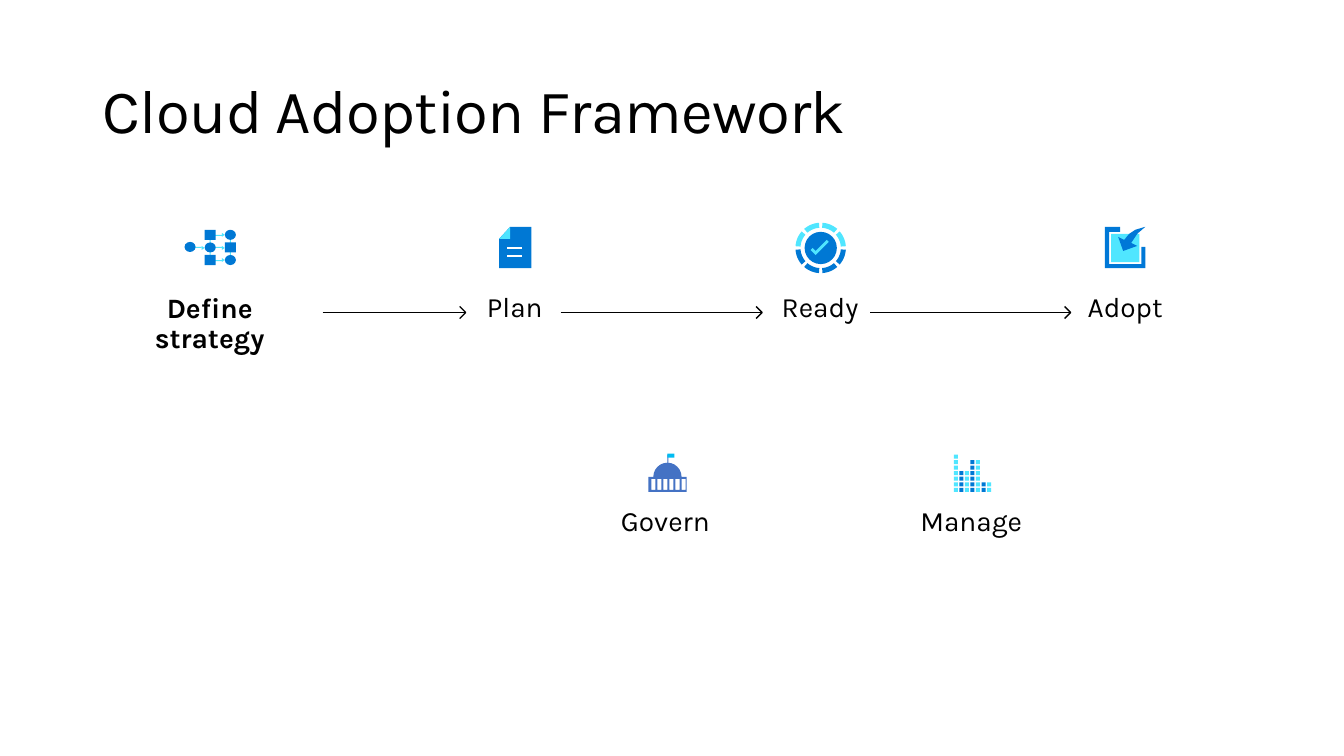
"""Build the Cloud Adoption Framework slide."""
import math

from lxml import etree
from pptx import Presentation
from pptx import util as u
from pptx.dml import color
from pptx.enum import shapes, text
from pptx.oxml import ns

BLUE, CYAN, BLACK, WHITE = "0078D4", "50E6FF", "000000", "FFFFFF"
RECT, OVAL = shapes.MSO_SHAPE.RECTANGLE, shapes.MSO_SHAPE.OVAL


def rgb(value):
    return color.RGBColor.from_string(value)


def arc(cx, cy, radius, start, end, steps=12):
    angles = [math.radians(start + (end - start) * i / steps) for i in range(steps + 1)]
    return [(cx + radius * math.cos(a), cy + radius * math.sin(a)) for a in angles]


def box(left, top, right, bottom):
    return [(left, top), (right, top), (right, bottom), (left, bottom)]


class Deck:
    font = "Karla"

    def __init__(self, prs):
        self.slide = prs.slides.add_slide(prs.slide_layouts[5])
        self.shapes = self.slide.shapes

    def group(self):
        self.shapes = self.slide.shapes.add_group_shape().shapes

    def add_run(self, p, words, size, bold=False):
        p.line_spacing = 0.9
        r = p.add_run()
        r.text = words
        r.font.name, r.font.size, r.font.bold = self.font, u.Pt(size), bold
        r.font.color.rgb = rgb(BLACK)
        return r

    def title(self, words):
        sp = self.slide.shapes.title
        sp.left, sp.top, sp.width, sp.height = map(u.Inches, (0.92, 0.4, 11.5, 1.45))
        tf = sp.text_frame
        tf.vertical_anchor = text.MSO_ANCHOR.MIDDLE
        tf.paragraphs[0].alignment = text.PP_ALIGN.LEFT
        r = self.add_run(tf.paragraphs[0], words, 44)
        r._r.get_or_add_rPr().set("spc", "-50")

    def label(self, words, x, y, w, h, align=text.PP_ALIGN.CENTER, wrap=True, bold=False):
        tf = self.shapes.add_textbox(*map(u.Inches, (x, y, w, h))).text_frame
        tf.word_wrap = wrap
        tf.margin_top = tf.margin_bottom = u.Inches(0.16)
        p = tf.paragraphs[0]
        p.alignment, p.space_after = align, u.Pt(6)
        self.add_run(p, words, 20, bold)

    def shape(self, kind, x, y, w, h, fill):
        sp = self.shapes.add_shape(kind, *map(u.Inches, (x, y, w, h)))
        self.paint(sp, fill)

    def paint(self, sp, fill):
        sp.shadow.inherit = False
        sp.fill.solid()
        sp.fill.fore_color.rgb = rgb(fill)
        sp.line.fill.background()

    def outline(self, contours, close=True):
        rings = [[(u.Inches(x), u.Inches(y)) for x, y in c] for c in contours]
        builder = self.shapes.build_freeform(*rings[0][0])
        builder.add_line_segments(rings[0][1:], close=close)
        for points in rings[1:]:
            builder.move_to(*points[0])
            builder.add_line_segments(points[1:], close=close)
        return builder.convert_to_shape()

    def polygon(self, fill, *contours):
        self.paint(self.outline(contours), fill)

    def line(self, x1, x2, y, stroke, width):
        c = self.shapes.add_connector(
            shapes.MSO_CONNECTOR.STRAIGHT, *map(u.Inches, (x1, y, x2, y)))
        c.line.color.rgb, c.line.width = rgb(stroke), u.Pt(width)
        etree.SubElement(c._element.spPr, ns.qn("a:effectLst"))

    def arrow(self, x1, x2, y):
        self.group()
        self.line(x1, x2, y, BLACK, 1)
        head = self.outline([[(x2 - 0.06, y - 0.06), (x2, y), (x2 - 0.06, y + 0.06)]], False)
        head.shadow.inherit = False
        head.fill.background()
        head.line.color.rgb, head.line.width = rgb(BLACK), u.Pt(1)


def draw_plan(s):
    s.polygon(BLUE, [(5.06, 2.25), (4.95, 2.37), (4.95, 2.66), (5.27, 2.66), (5.27, 2.25)])
    s.polygon("4FE4FF", [(5.06, 2.37), (4.95, 2.37), (5.06, 2.25)])
    for y in (2.46, 2.54):
        s.line(5.03, 5.18, y, WHITE, 1.38)


def draw_ready(s):
    cx, cy = 8.14, 2.46
    s.shape(OVAL, cx - 0.16, cy - 0.16, 0.32, 0.32, BLUE)
    s.polygon(CYAN, [(8.22, 2.4), (8.2, 2.38), (8.09, 2.49), (8.06, 2.46),
                     (8.04, 2.48), (8.09, 2.53)])
    for i in range(8):
        start, end = 45 * i + 4, 45 * i + 41
        s.polygon(BLUE if i < 4 else CYAN,
                  arc(cx, cy, 0.25, start, end) + arc(cx, cy, 0.2, end, start))


def draw_adopt(s):
    s.shape(RECT, 11.02, 2.32, 0.28, 0.28, CYAN)
    s.polygon("0078D7", [(11.32, 2.45), (11.32, 2.62), (11, 2.62), (11, 2.3), (11.11, 2.3),
                         (11.11, 2.25), (10.96, 2.25), (10.96, 2.66), (11.36, 2.66),
                         (11.36, 2.45)])
    s.polygon("0078D7", [(11.36, 2.25), (11.26, 2.28), (11.2, 2.32), (11.15, 2.38),
                         (11.09, 2.35), (11.14, 2.49), (11.28, 2.44), (11.22, 2.41),
                         (11.28, 2.32)])


def draw_govern(s):
    dome = arc(6.62, 4.73, 0.14, 180, 360)
    hall = [(6.81, 4.73), (6.81, 4.88), (6.43, 4.88), (6.43, 4.73)]
    windows = [box(x, 4.75, x + 0.04, 4.86) for x in (6.46 + 0.06 * i for i in range(6))]
    s.polygon("4472C4", dome + hall, *windows)
    s.shape(RECT, 6.62, 4.51, 0.01, 0.09, "4472C4")
    s.shape(RECT, 6.62, 4.5, 0.07, 0.04, "00BCF2")


def draw_manage(s):
    pitch = 0.33 / 6
    for col, count in enumerate((7, 4, 4, 6, 6, 2, 2)):
        for row in range(count):
            s.shape(RECT, 9.46 + pitch * col, 4.84 - pitch * row, 0.04, 0.04,
                    BLUE if col % 2 else CYAN)


def draw_strategy(s):
    for x, y, w, h in ((2.08, 2.58, 0.13, 0.01), (2.08, 2.33, 0.13, 0.01),
                       (2.08, 2.33, 0.01, 0.24), (2.28, 2.33, 0.01, 0.27),
                       (2.1, 2.45, 0.11, 0.01), (1.89, 2.45, 0.11, 0.01)):
        s.shape(RECT, x, y, w, h, CYAN)
    for x, y in ((2.2, 2.58), (2.2, 2.46), (2.2, 2.33), (2, 2.46)):
        s.polygon(CYAN, [(x, y - 0.02), (x + 0.03, y), (x, y + 0.02)])
    for x, kinds in ((2.23, (OVAL, RECT, OVAL)), (2.03, (RECT, OVAL, RECT))):
        for i, kind in enumerate(kinds):
            s.shape(kind, x, 2.28 + 0.25 * i / 2, 0.11, 0.1, BLUE)
    s.shape(OVAL, 1.83, 2.4, 0.11, 0.1, BLUE)


def main():
    prs = Presentation()
    prs.slide_width, prs.slide_height = u.Inches(13.33), u.Inches(7.5)
    s = Deck(prs)
    s.title("Cloud Adoption Framework")
    for x1, x2 in ((3.2, 4.62), (5.56, 7.56), (8.63, 10.62)):
        s.arrow(x1, x2, 3.1)
    stages = (("Define strategy", draw_strategy), ("Plan", draw_plan),
              ("Ready", draw_ready), ("Adopt", draw_adopt))
    for i, (name, draw) in enumerate(stages):
        s.group()
        s.label(name, 0.99 + 9.08 * i / 3, 2.76, 2.18, 0.76, bold=i == 0)
        draw(s)
    for name, x, w, draw in (("Govern", 6.06, 1.14, draw_govern),
                             ("Manage", 9.03, 1.26, draw_manage)):
        s.group()
        s.label(name, x, 4.88, w, 0.63, text.PP_ALIGN.LEFT, wrap=False)
        draw(s)
    prs.save("out.pptx")


if __name__ == "__main__":
    main()
